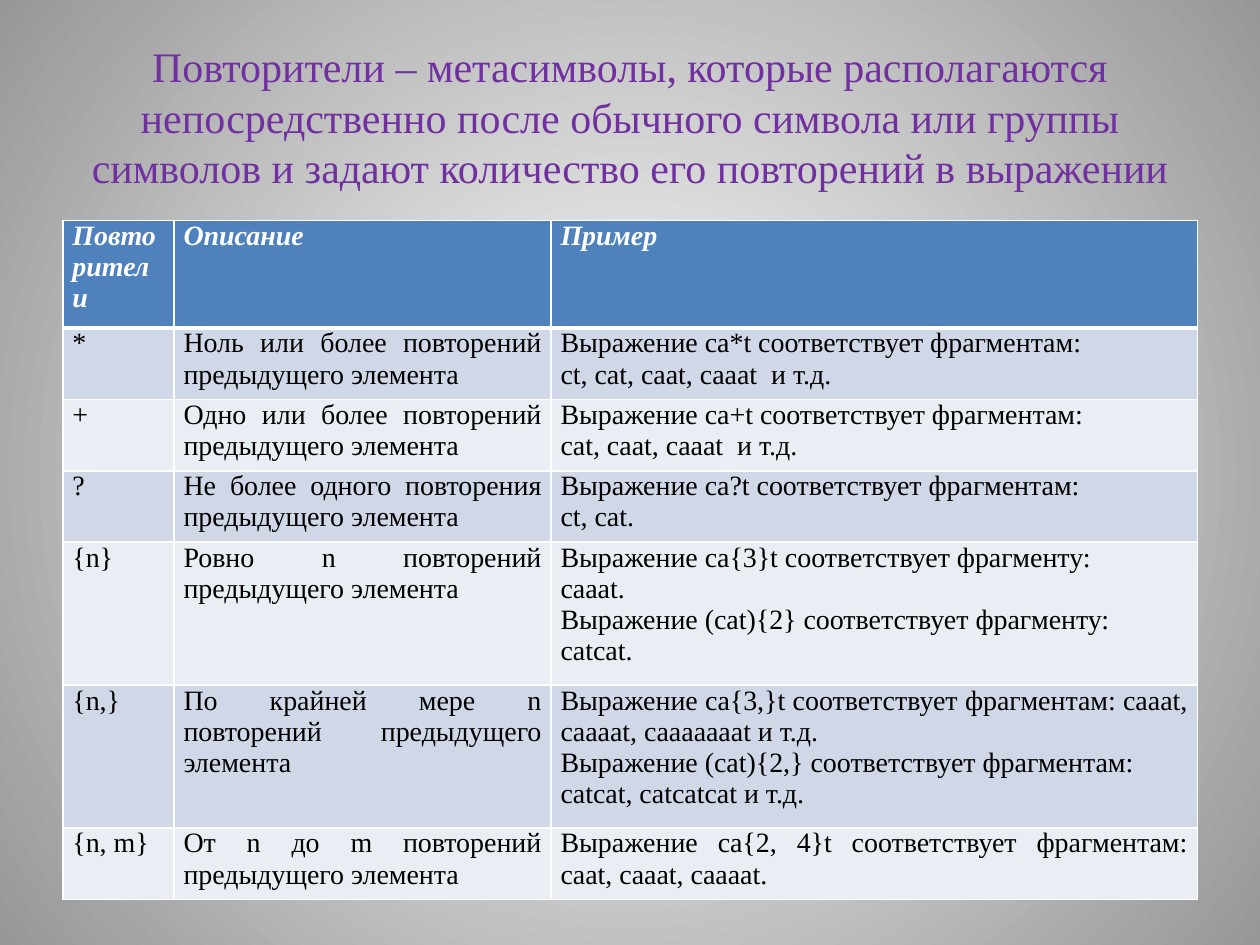
"""Slide about regular expression quantifiers: a title above a table with examples."""
from lxml import etree
from pptx import Presentation
from pptx.dml.color import RGBColor
from pptx.enum import text
from pptx.oxml import ns
from pptx.util import Cm, Pt

TITLE = ("Повторители – метасимволы, которые располагаются непосредственно после "
         "обычного символа или группы символов и задают количество его повторений в выражении")
HEADER = ("Повторители", "Описание", ["Пример"])
QUANTIFIERS = [
    ("*", "Ноль или более повторений предыдущего элемента",
     ["Выражение ca*t соответствует фрагментам:", "ct, cat, caat, caaat  и т.д."]),
    ("+", "Одно или более повторений предыдущего элемента",
     ["Выражение ca+t соответствует фрагментам: ", "cat, caat, caaat  и т.д."]),
    ("?", "Не более одного повторения предыдущего элемента",
     ["Выражение ca?t соответствует фрагментам: ", "ct, cat."]),
    ("{n}", "Ровно n повторений предыдущего элемента",
     ["Выражение ca{3}t соответствует фрагменту:", "cаааt.",
      "Выражение (cat){2} соответствует фрагменту:", "cаtcat."]),
    ("{n,}", "По крайней мере n повторений предыдущего элемента",
     ["Выражение ca{3,}t соответствует фрагментам: cаааt, caaaat, caaaaaaat и т.д.",
      "Выражение (cat){2,} соответствует фрагментам: cаtcat, catcatcat и т.д."]),
    ("{n, m}", "От n до m повторений предыдущего элемента",
     ["Выражение ca{2, 4}t соответствует фрагментам: cааt, caaat, caaaat."]),
]
LEFT_ALIGNED = QUANTIFIERS[4][2][1]
COLUMN_WIDTHS = (2.24, 7.6, 13.03)
ROW_HEIGHTS = (2.16, 1.44, 1.44, 1.44, 2.88, 2.88, 1.44)

WHITE = RGBColor(0xFF, 0xFF, 0xFF)
BLACK = RGBColor(0x00, 0x00, 0x00)
GREY = RGBColor(0x97, 0x97, 0x97)
PURPLE = RGBColor(0x70, 0x30, 0xA0)
BLUE = RGBColor(0x4F, 0x81, 0xBD)
BANDS = (RGBColor(0xE9, 0xED, 0xF4), RGBColor(0xD0, 0xD8, 0xE8))

TITLE_FONT = {"name": "Times New Roman", "size": Pt(24)}
HEADER_FONT = {"name": "Times New Roman", "size": Pt(16), "bold": True, "italic": True}
BODY_FONT = {**HEADER_FONT, "bold": False, "italic": False}
CELL_MARGINS = {"margin_left": Cm(0.19), "margin_right": Cm(0.19),
                "margin_top": 0, "margin_bottom": 0}


def apply(target, values):
    for name, value in values.items():
        setattr(target, name, value)


def write(frame, lines, alignment, font, color):
    for index, line in enumerate(lines):
        para = frame.add_paragraph() if index else frame.paragraphs[0]
        para.alignment = text.PP_ALIGN.LEFT if line == LEFT_ALIGNED else alignment
        span = para.add_run()
        span.text = line
        apply(span.font, font)
        span.font.color.rgb = color


def paint_background(page):
    fill = page.background.fill
    fill.gradient()
    for stop, color, position in zip(fill.gradient_stops, (WHITE, GREY), (0, 1)):
        stop.color.rgb = color
        stop.position = position
    gradient = page.element.find(".//" + ns.qn("a:gradFill"))
    gradient.remove(gradient.find(ns.qn("a:lin")))
    circle = etree.SubElement(gradient, ns.qn("a:path"), path="circle")
    etree.SubElement(circle, ns.qn("a:fillToRect"), l="50000", t="50000", r="50000", b="50000")


def draw_borders(cell, widths):
    properties = cell._tc.get_or_add_tcPr()
    for index, (side, width) in enumerate(widths.items()):
        line = etree.Element(ns.qn(f"a:ln{side}"), w=str(Pt(width)))
        solid = etree.SubElement(line, ns.qn("a:solidFill"))
        etree.SubElement(solid, ns.qn("a:srgbClr"), val=str(WHITE))
        properties.insert(index, line)


def add_title(page):
    box = page.shapes.add_textbox(Cm(1.27), Cm(0.76), Cm(22.86), Cm(3.18))
    apply(box.text_frame, {"word_wrap": True, "vertical_anchor": text.MSO_ANCHOR.MIDDLE})
    write(box.text_frame, [TITLE], text.PP_ALIGN.CENTER, TITLE_FONT, PURPLE)


def add_quantifier_table(page):
    rows = [HEADER, *QUANTIFIERS]
    table = page.shapes.add_table(
        len(rows), len(COLUMN_WIDTHS), Cm(1.27), Cm(4.45),
        Cm(sum(COLUMN_WIDTHS)), Cm(sum(ROW_HEIGHTS))).table
    for column, width in zip(table.columns, COLUMN_WIDTHS):
        column.width = Cm(width)
    for row_index, (row, height) in enumerate(zip(rows, ROW_HEIGHTS)):
        table.rows[row_index].height = Cm(height)
        is_header = row_index == 0
        font, color = (HEADER_FONT, WHITE) if is_header else (BODY_FONT, BLACK)
        borders = {"L": 1, "R": 1, "T": 3 if row_index == 1 else 1, "B": 3 if is_header else 1}
        for column_index, lines in enumerate((row[:1], row[1:2], row[2])):
            cell = table.cell(row_index, column_index)
            apply(cell, CELL_MARGINS)
            cell.fill.solid()
            cell.fill.fore_color.rgb = BLUE if is_header else BANDS[row_index % 2]
            draw_borders(cell, borders)
            write(cell.text_frame, lines, text.PP_ALIGN.JUSTIFY, font, color)


def main():
    deck = Presentation()
    apply(deck, {"slide_width": Cm(25.4), "slide_height": Cm(19.05)})
    page = deck.slides.add_slide(deck.slide_layouts[6])
    paint_background(page)
    add_title(page)
    add_quantifier_table(page)
    deck.save("out.pptx")


if __name__ == "__main__":
    main()
